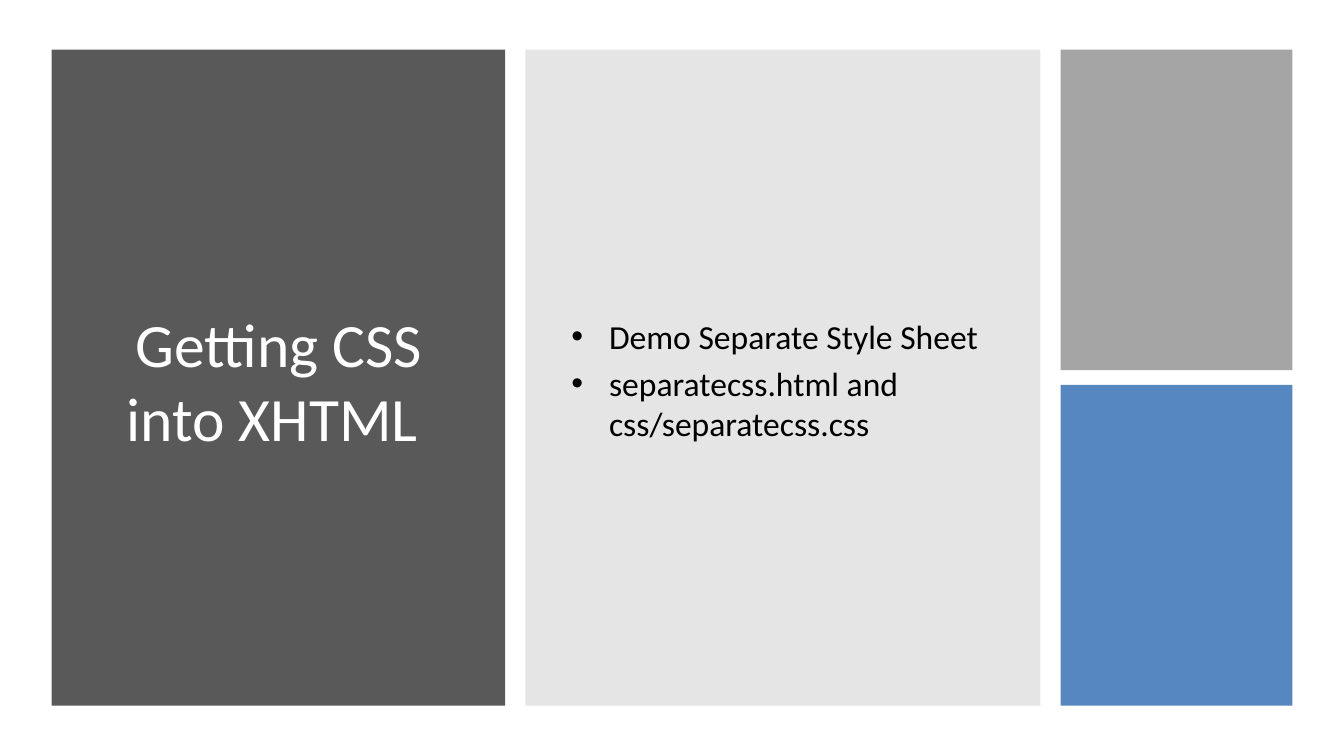
from lxml import etree
from pptx import Presentation
from pptx.dml.color import RGBColor
from pptx.enum.shapes import MSO_SHAPE
from pptx.enum.text import MSO_ANCHOR, PP_ALIGN
from pptx.oxml.ns import qn
from pptx.util import Cm, Pt

RECT = MSO_SHAPE.RECTANGLE
MIDDLE = MSO_ANCHOR.MIDDLE
LEFT, CENTER = PP_ALIGN.LEFT, PP_ALIGN.CENTER

FONT = "Calibri"
TOP, TALL, GAP = 1.25, 16.53, 0.51
INDENT = 0.95
TITLE = "Getting CSS into XHTML "
ITEMS = ["Demo Separate Style Sheet", "separatecss.html and css/separatecss.css"]


def color(code):
    """Return the colour for a hex string."""
    return RGBColor.from_string(code)


def add_panel(slide, left, top, width, height, fill, alpha=100):
    """Add a plain rectangle, opaque to the given percentage."""
    panel = slide.shapes.add_shape(RECT, Cm(left), Cm(top), Cm(width), Cm(height))
    panel.shadow.inherit = False
    panel.line.fill.background()
    panel.fill.solid()
    panel.fill.fore_color.rgb = color(fill)
    if alpha < 100:
        tint = panel.fill._xPr.find(".//" + qn("a:srgbClr"))
        etree.SubElement(tint, qn("a:alpha"), val=str(alpha * 1000))


def add_bullet(para):
    """Give a paragraph a bullet and a hanging indent."""
    props = para._p.get_or_add_pPr()
    props.set("marL", str(Cm(INDENT)))
    props.set("indent", str(-Cm(INDENT)))
    etree.SubElement(props, qn("a:buFont"), typeface="Arial")
    etree.SubElement(props, qn("a:buChar"), char="•")


def add_text(slide, left, width, lines, size, ink, align, bullet=False):
    """Add a column of text, centred in height."""
    box = slide.shapes.add_textbox(Cm(left), Cm(2.11), Cm(width), Cm(14.91))
    frame = box.text_frame
    frame.word_wrap = True
    frame.vertical_anchor = MIDDLE
    for num, line in enumerate(lines):
        para = frame.add_paragraph() if num else frame.paragraphs[0]
        para.alignment = align
        if bullet:
            para.space_before = Pt(size * 0.2)
            add_bullet(para)
        run = para.add_run()
        run.text = line
        run.font.name = FONT
        run.font.size = Pt(size)
        run.font.color.rgb = color(ink)


def main():
    """Build the slide and save it."""
    deck = Presentation()
    deck.slide_width, deck.slide_height = Cm(33.87), Cm(19.05)
    slide = deck.slides.add_slide(deck.slide_layouts[6])

    left = 1.3
    add_panel(slide, left, TOP, 11.43, TALL, "595959")
    add_text(slide, 2.16, 9.75, [TITLE], 44, "FFFFFF", CENTER)

    left += 11.43 + GAP
    add_panel(slide, left, TOP, 12.98, TALL, "808080", 20)
    add_text(slide, 14.15, 11.23, ITEMS, 24, "000000", LEFT, True)

    left += 12.98 + GAP
    half = 8.08
    add_panel(slide, left, TOP, 5.84, half, "A5A5A5")
    add_panel(slide, left, TOP + TALL - half, 5.84, half, "4F81BD", 95)

    deck.save("out.pptx")


if __name__ == "__main__":
    main()
